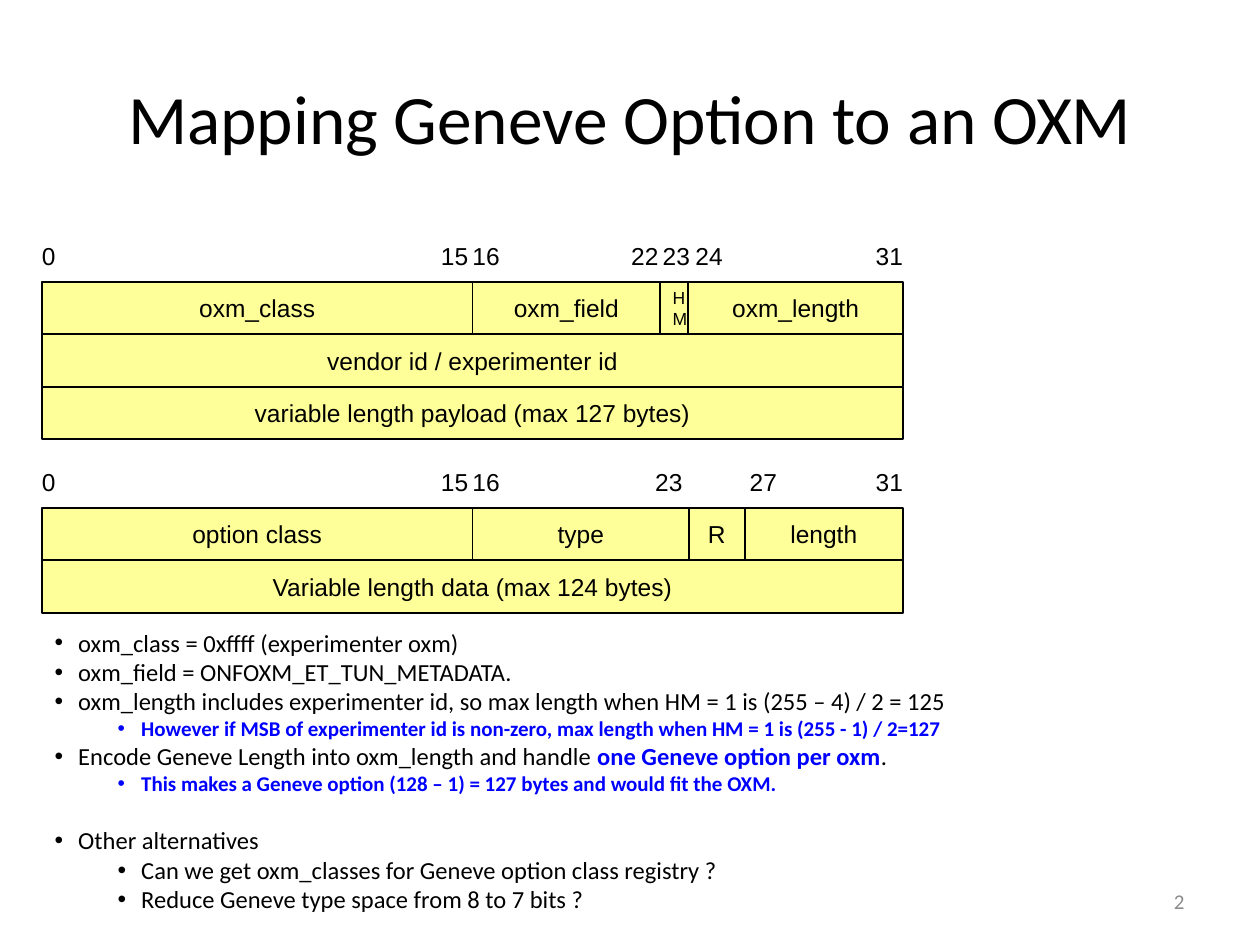
"""Build the slide that maps a Geneve option to an OXM header."""
from lxml import etree
from pptx import Presentation
from pptx.dml.color import RGBColor
from pptx.enum import shapes, text
from pptx.oxml import ns
from pptx.util import Pt

BLACK = RGBColor(0x00, 0x00, 0x00)
BLUE = RGBColor(0x00, 0x00, 0xFF)
GRAY = RGBColor(0x8C, 0x8C, 0x8C)
YELLOW = RGBColor(0xFF, 0xFF, 0x99)

LEFT, MIDDLE, RIGHT = 24, 270, 516
ROW_HEIGHT = 30

TITLE = "Mapping Geneve Option to an OXM"
PAGE_NUMBER = "2"

HEADERS = [
    {
        "top": 161,
        "bits": [("0", LEFT), ("15", 252), ("16", MIDDLE), ("22", 360.7), ("23", 378.7), ("24", 397.4)],
        "rows": [
            [("oxm_class", LEFT), ("oxm_field", MIDDLE), ("HM", 377.3), ("oxm_length", 393.3)],
            [("vendor id / experimenter id", LEFT)],
            [("variable length payload (max 127 bytes)", LEFT)],
        ],
    },
    {
        "top": 290.2,
        "bits": [("0", LEFT), ("15", 252), ("16", MIDDLE), ("23", 374.4), ("27", 428.4)],
        "rows": [
            [("option class", LEFT), ("type", MIDDLE), ("R", 393.8), ("length", 425.5)],
            [("Variable length data (max 124 bytes)", LEFT)],
        ],
    },
]
LAST_BIT = "31"
SMALL_FIELDS = {"HM": 10}

NOTES = [
    (0, 14, 0, [("oxm_class = 0xffff (experimenter oxm)", False)]),
    (0, 14, 0, [("oxm_field = ONFOXM_ET_TUN_METADATA.", False)]),
    (0, 14, 0, [("oxm_length includes experimenter id, so max length when HM = 1 is (255 – 4) / 2 = 125", False)]),
    (1, 12, 0, [("However if MSB of experimenter id is non-zero, max length when HM = 1 is (255 - 1) / 2=127", True)]),
    (0, 14, 0, [("Encode Geneve Length into oxm_length and handle ", False),
                ("one Geneve option per oxm", True), (".", False)]),
    (1, 12, 0, [("This makes a Geneve option (128 – 1) = 127 bytes and would fit the OXM.", True)]),
    (0, 14, 17, [("Other alternatives", False)]),
    (1, 14, 0, [("Can we get oxm_classes for Geneve option class registry ?", False)]),
    (1, 14, 0, [("Reduce Geneve type space from 8 to 7 bits ?", False)]),
]


def place(shape, left, top, width, height):
    shape.left, shape.top, shape.width, shape.height = map(Pt, (left, top, width, height))


def style(font, size, name, color=BLACK, bold=None):
    font.size, font.name, font.bold = Pt(size), name, bold
    font.color.rgb = color


def write(shape, words, size, name, align, color=BLACK):
    frame = shape.text_frame
    frame.word_wrap = True
    frame.vertical_anchor = text.MSO_ANCHOR.MIDDLE
    para = frame.paragraphs[0]
    para.text, para.alignment = words, align
    style(para.font, size, name, color)


def add_label(page, words, left, top, width, align=text.PP_ALIGN.LEFT):
    box = page.shapes.add_textbox(Pt(left), Pt(top), Pt(width), Pt(ROW_HEIGHT))
    box.text_frame.margin_left = box.text_frame.margin_right = 0
    write(box, words, 14, "Arial", align)


def add_field(page, words, left, top, width):
    box = page.shapes.add_shape(shapes.MSO_SHAPE.RECTANGLE, Pt(left), Pt(top), Pt(width), Pt(ROW_HEIGHT))
    box.shadow.inherit = False
    box.fill.solid()
    box.fill.fore_color.rgb = YELLOW
    box.line.color.rgb = BLACK
    box.line.width = Pt(1)
    write(box, words, SMALL_FIELDS.get(words, 14), "Arial", text.PP_ALIGN.CENTER)


def add_header(page, header):
    label_top = header["top"] - ROW_HEIGHT
    for words, left in header["bits"]:
        add_label(page, words, left, label_top, 31)
    add_label(page, LAST_BIT, RIGHT - 31, label_top, 31, text.PP_ALIGN.RIGHT)
    for index, row in enumerate(header["rows"]):
        ends = [left for _, left in row[1:]] + [RIGHT]
        for (words, left), end in zip(row, ends):
            add_field(page, words, left, header["top"] + index * ROW_HEIGHT, end - left)


def add_bullet(para, level):
    props = para._p.get_or_add_pPr()
    props.set("marL", str(Pt(13.5 + 36 * level)))
    props.set("indent", str(Pt(-13.5)))
    etree.SubElement(props, ns.qn("a:buFont")).set("typeface", "Arial")
    etree.SubElement(props, ns.qn("a:buChar")).set("char", "•")


def fill_notes(body):
    frame = body.text_frame
    frame.word_wrap = True
    frame.auto_size = text.MSO_AUTO_SIZE.NONE
    for index, (level, size, gap, spans) in enumerate(NOTES):
        para = frame.add_paragraph() if index else frame.paragraphs[0]
        para.level = level
        add_bullet(para, level)
        para.space_before = Pt(gap)
        strong = all(marked for _, marked in spans)
        style(para.font, size, "Calibri", BLUE if strong else BLACK, strong)
        for words, marked in spans:
            span = para.add_run()
            span.text = words
            if marked and not strong:
                span.font.bold = True
                span.font.color.rgb = BLUE


def main():
    deck = Presentation()
    deck.slide_width, deck.slide_height = Pt(720), Pt(540)
    page = deck.slides.add_slide(deck.slide_layouts[1])
    title, body = page.placeholders
    place(title, 36, 21.6, 648, 90)
    write(title, TITLE, 39.6, "Calibri", text.PP_ALIGN.CENTER)
    title.text_frame.auto_size = text.MSO_AUTO_SIZE.NONE
    place(body, LEFT, 355, 556, 185)
    fill_notes(body)
    for header in HEADERS:
        add_header(page, header)
    number = page.shapes.add_textbox(Pt(516), Pt(500.5), Pt(168), Pt(28.8))
    write(number, PAGE_NUMBER, 12, "Calibri", text.PP_ALIGN.RIGHT, GRAY)
    deck.save("out.pptx")


if __name__ == "__main__":
    main()
